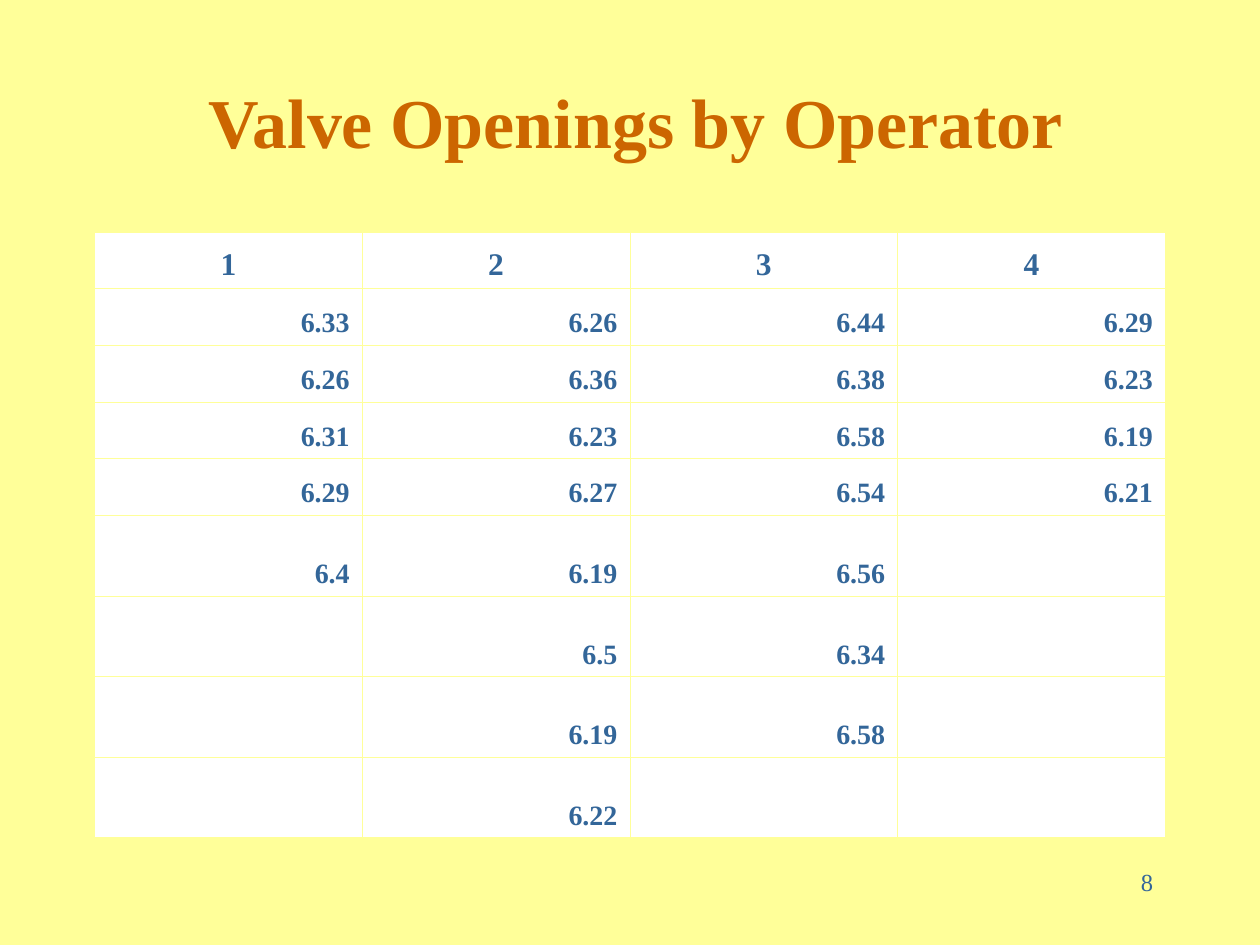
from dataclasses import dataclass

import lxml.etree
import pptx
import pptx.dml.color
import pptx.enum.text
import pptx.oxml.ns
import pptx.util

Inches = pptx.util.Inches
Pt = pptx.util.Pt
Align = pptx.enum.text.PP_ALIGN
Anchor = pptx.enum.text.MSO_ANCHOR


@dataclass(frozen=True)
class Theme:
    font: str = "Times New Roman"
    background: str = "FFFF99"
    heading: str = "CC6600"
    body: str = "336699"
    cell: str = "FFFFFF"
    title_size: float = 40
    header_size: float = 18
    value_size: float = 16
    number_size: float = 14
    border_width: float = 0.45


THEME = Theme()
OPERATORS = ["1", "2", "3", "4"]
OPENINGS = [
    ["6.33", "6.26", "6.44", "6.29"],
    ["6.26", "6.36", "6.38", "6.23"],
    ["6.31", "6.23", "6.58", "6.19"],
    ["6.29", "6.27", "6.54", "6.21"],
    ["6.4", "6.19", "6.56", ""],
    ["", "6.5", "6.34", ""],
    ["", "6.19", "6.58", ""],
    ["", "6.22", "", ""],
]


def rgb(value):
    return pptx.dml.color.RGBColor.from_string(value)


def write_text(frame, text, *, size, color=THEME.body, bold=False, align=Align.LEFT):
    frame.word_wrap = True
    paragraph = frame.paragraphs[0]
    paragraph.alignment = align
    run = paragraph.add_run()
    run.text = text
    run.font.name = THEME.font
    run.font.size = Pt(size)
    run.font.bold = bold
    run.font.color.rgb = rgb(color)


def set_borders(cell):
    qn = pptx.oxml.ns.qn
    properties = cell._tc.get_or_add_tcPr()
    for position, side in enumerate(("a:lnL", "a:lnR", "a:lnT", "a:lnB")):
        border = lxml.etree.Element(qn(side), w=str(int(Pt(THEME.border_width))))
        fill = lxml.etree.SubElement(border, qn("a:solidFill"))
        lxml.etree.SubElement(fill, qn("a:srgbClr"), val=THEME.background)
        properties.insert(position, border)


def add_title(slide, box, text):
    title = slide.shapes.add_textbox(*box).text_frame
    title.vertical_anchor = Anchor.MIDDLE
    write_text(title, text, size=THEME.title_size, color=THEME.heading,
               bold=True, align=Align.CENTER)


def add_openings_table(slide, box, short_rows=5, short_height=0.45, tall_height=0.64):
    rows = [OPERATORS] + OPENINGS
    table = slide.shapes.add_table(len(rows), len(OPERATORS), *box).table
    table.first_row = False
    table.horz_banding = False
    for column in table.columns:
        column.width = box[2] // len(OPERATORS)
    for row_index, values in enumerate(rows):
        header = row_index == 0
        height = short_height if row_index < short_rows else tall_height
        table.rows[row_index].height = Inches(height)
        for column_index, value in enumerate(values):
            cell = table.cell(row_index, column_index)
            cell.fill.solid()
            cell.fill.fore_color.rgb = rgb(THEME.cell)
            cell.vertical_anchor = Anchor.BOTTOM
            set_borders(cell)
            if value:
                write_text(cell.text_frame, value, bold=True,
                           size=THEME.header_size if header else THEME.value_size,
                           align=Align.CENTER if header else Align.RIGHT)


def add_page_number(slide, box, number):
    page_number = slide.shapes.add_textbox(*box).text_frame
    write_text(page_number, number, size=THEME.number_size, align=Align.RIGHT)


def main():
    deck = pptx.Presentation()
    deck.slide_width = Inches(10)
    deck.slide_height = Inches(7.5)
    slide = deck.slides.add_slide(deck.slide_layouts[6])
    slide.background.fill.solid()
    slide.background.fill.fore_color.rgb = rgb(THEME.background)

    title_box = [Inches(n) for n in (0.42, 0.33, 9.25, 1.25)]
    table_box = [Inches(n) for n in (0.75, 1.84, 8.5, 4.81)]
    number_box = [Inches(n) for n in (8.42, 6.83, 0.83, 0.5)]
    add_title(slide, title_box, "Valve Openings by Operator")
    add_openings_table(slide, table_box)
    add_page_number(slide, number_box, "8")
    deck.save("out.pptx")


if __name__ == "__main__":
    main()
